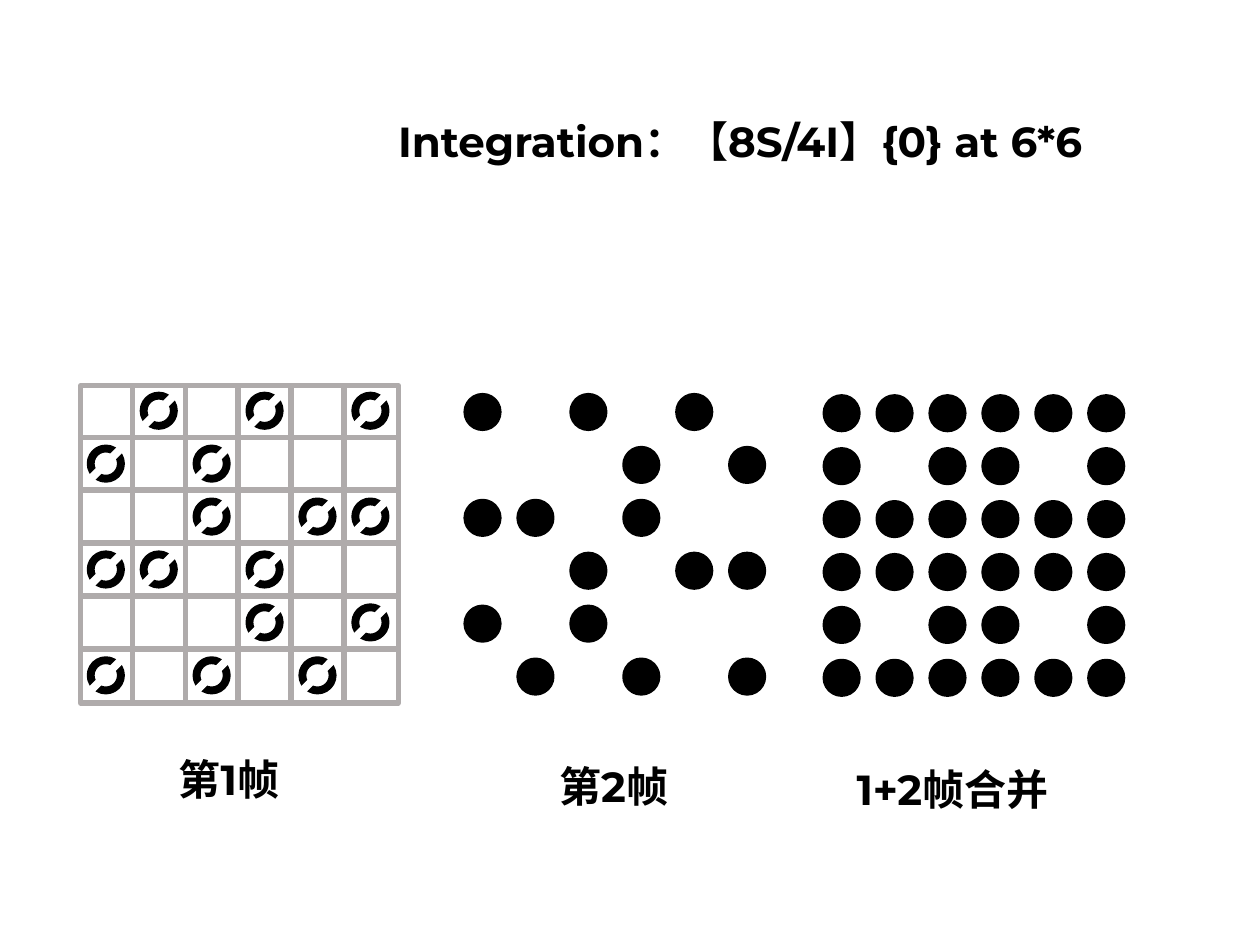
from lxml import etree
from pptx import Presentation
from pptx.dml.color import RGBColor
from pptx.enum.shapes import MSO_CONNECTOR, MSO_SHAPE
from pptx.enum.text import MSO_ANCHOR, MSO_AUTO_SIZE, PP_ALIGN
from pptx.oxml.ns import qn
from pptx.util import Pt

STRAIGHT = MSO_CONNECTOR.STRAIGHT
OVAL = MSO_SHAPE.OVAL
RECTANGLE = MSO_SHAPE.RECTANGLE
TOP = MSO_ANCHOR.TOP
LEFT = PP_ALIGN.LEFT
GROW = MSO_AUTO_SIZE.SHAPE_TO_FIT_TEXT

EMU_PER_PX = 9144
COLORS = {"ink": "000000", "paper": "FFFFFF", "grid": "AFABAB"}
FONT = "Montserrat"
CELLS = 6
PITCH = 42
DOT = 24
DOT_INSET = 8
FIRST_RULE = 41

FRAME_1 = [".X.X.X", "X.X...", "..X.XX", "XX.X..", "...X.X", "X.X.X."]
FRAME_2 = ["X.X.X.", "...X.X", "XX.X..", "..X.XX", "X.X...", ".X.X.X"]


def px(length):
    """Turn px into EMU."""
    return length * EMU_PER_PX


def color(name):
    """Look up a named colour."""
    return RGBColor.from_string(COLORS[name])


def write(frame, text, size=24, bold=True, ink="ink"):
    """Put formatted text into a text frame."""
    frame.word_wrap = True
    frame.auto_size = GROW
    frame.vertical_anchor = TOP
    paragraph = frame.paragraphs[0]
    paragraph.alignment = LEFT
    run = paragraph.add_run()
    run.text = text
    run.font.name = FONT
    run.font.size = Pt(size)
    run.font.bold = bold
    run.font.color.rgb = color(ink)


def add_figure(shapes, kind, box, outline, width, fill=None):
    """Draw an outlined preset shape, filled if a fill is named."""
    figure = shapes.add_shape(kind, *map(px, box))
    figure.shadow.inherit = False
    figure.line.color.rgb = color(outline)
    figure.line.width = Pt(width)
    if fill:
        figure.fill.solid()
        figure.fill.fore_color.rgb = color(fill)
    else:
        figure.fill.background()


def add_rule(shapes, start, end, outline, width):
    """Draw a straight line without a shadow."""
    rule = shapes.add_connector(STRAIGHT, *map(px, start + end))
    rule.line.color.rgb = color(outline)
    rule.line.width = Pt(width)
    properties = rule._element.find(qn("p:spPr"))
    etree.SubElement(properties, qn("a:effectLst"))


def add_solid_dot(shapes, left, top):
    """Draw a black dot."""
    add_figure(shapes, OVAL, (left, top, DOT, DOT), "ink", 4.5, "ink")


def add_split_ring(shapes, left, top):
    """Draw a ring cut by a white diagonal."""
    ring = shapes.add_group_shape().shapes
    add_figure(ring, OVAL, (left, top, DOT, DOT), "ink", 4.5)
    add_rule(ring, (left + DOT, top), (left, top + DOT), "paper", 4.5)


def add_grid(shapes, left, top):
    """Draw the ruled square behind the first frame."""
    side = CELLS * PITCH
    add_figure(shapes, RECTANGLE, (left, top, side, side), "grid", 3, "paper")
    for step in range(CELLS - 1):
        offset = FIRST_RULE + step * PITCH
        x, y = left + offset, top + offset
        add_rule(shapes, (x, top), (x, top + side), "grid", 3)
        add_rule(shapes, (left, y), (left + side, y), "grid", 3)


def add_frame(shapes, left, top, pattern, mark):
    """Place a mark in each occupied cell of a pattern."""
    for row, cells in enumerate(pattern):
        for column, cell in enumerate(cells):
            if cell == "X":
                mark(shapes, left + DOT_INSET + column * PITCH,
                     top + DOT_INSET + row * PITCH)


def merge(first, second):
    """Overlay two patterns."""
    return ["".join(max(pair) for pair in zip(*rows))
            for rows in zip(first, second)]


def add_title(slide, left, top, width, height):
    """Move and fill the title placeholder."""
    title = slide.shapes.title
    title.left, title.top = px(left), px(top)
    title.width, title.height = px(width), px(height)
    write(title.text_frame, "Integration：【8S/4I】{0} at 6*6")


def add_caption(shapes, text, *box):
    """Write the caption under a frame."""
    caption = shapes.add_textbox(*map(px, box))
    write(caption.text_frame, text)


def main():
    """Build and save the slide."""
    deck = Presentation()
    deck.slide_width, deck.slide_height = px(1000), px(750)
    slide = deck.slides.add_slide(deck.slide_layouts[5])
    shapes = slide.shapes
    add_title(slide, 306, 87, 659, 50)
    add_grid(shapes, 64, 306)
    add_frame(shapes, 64, 306, FRAME_1, add_split_ring)
    add_frame(shapes, 363, 307, FRAME_2, add_solid_dot)
    add_frame(shapes, 648, 308, merge(FRAME_1, FRAME_2), add_solid_dot)
    add_caption(shapes, "第1帧", 132, 593, 120, 50)
    add_caption(shapes, "第2帧", 434, 599, 120, 50)
    add_caption(shapes, "1+2帧合并", 670, 601, 223, 50)
    deck.save("out.pptx")


if __name__ == "__main__":
    main()
